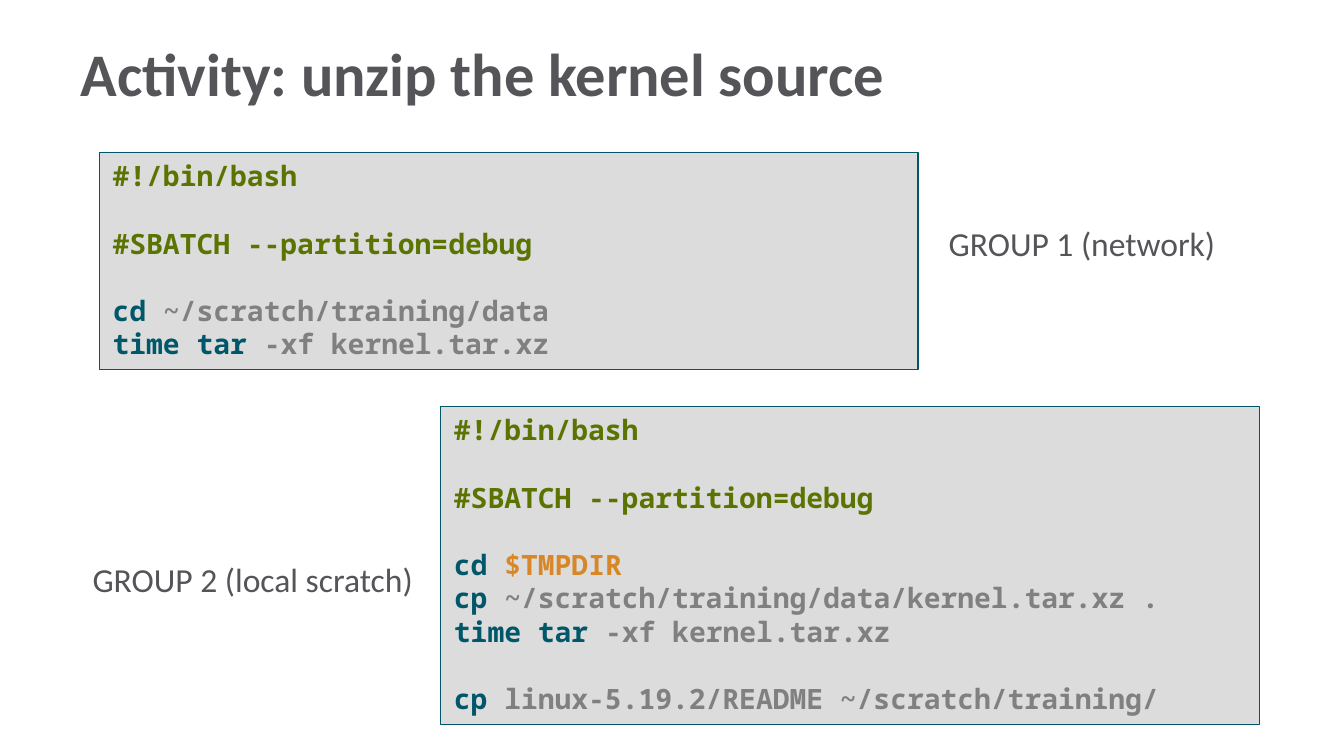
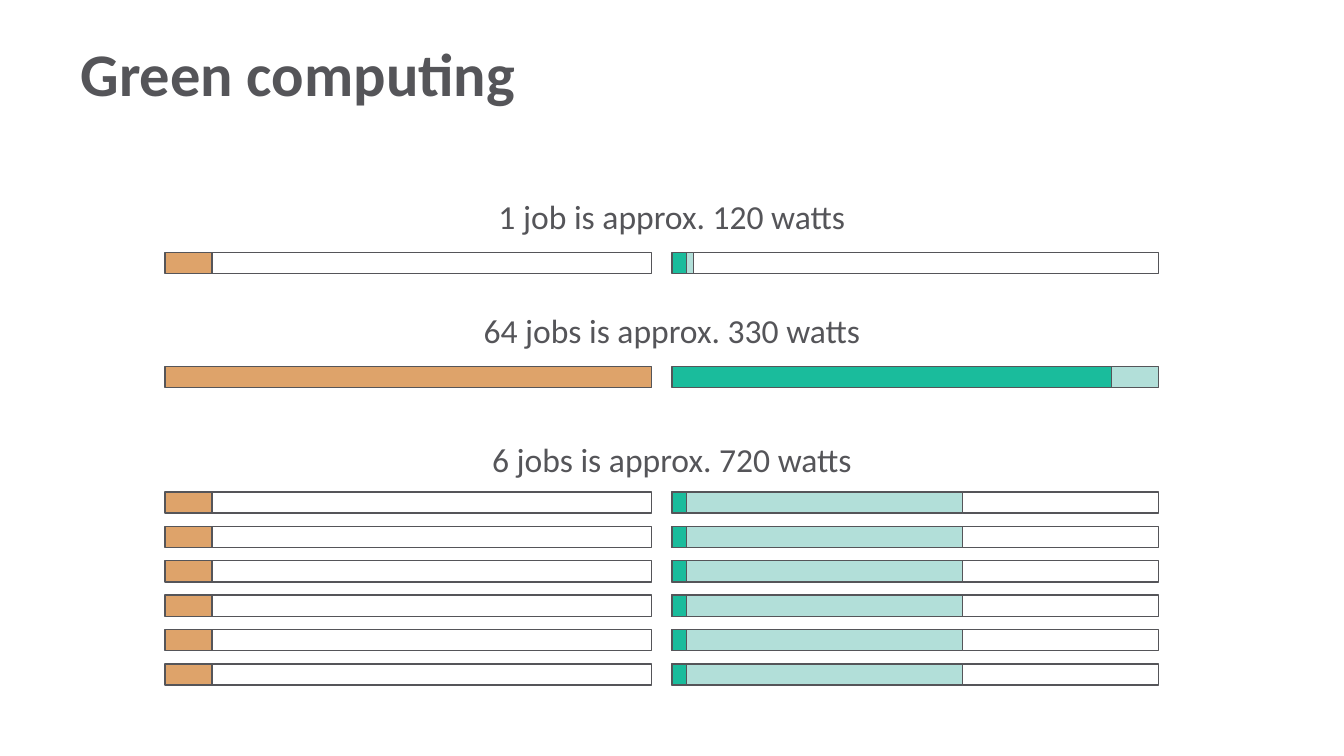
from pptx import Presentation
from pptx.dml.color import RGBColor
from pptx.enum.shapes import MSO_SHAPE
from pptx.enum.text import MSO_ANCHOR, MSO_AUTO_SIZE, PP_ALIGN
from pptx.util import Cm, Pt

HUES = {
    "text": "555559",
    "panel": "DCDCDC",
    "teal": "005769",
    "olive": "5B7300",
    "gray": "808080",
    "amber": "D88726",
    "orange": "DEA36A",
    "green": "1ABC9C",
    "mint": "B2DFD9",
    "white": "FFFFFF",
}
COLOR = {name: RGBColor.from_string(code) for name, code in HUES.items()}


def add_box(slide, left, top, width, height, fill, edge):
    box = slide.shapes.add_shape(
        MSO_SHAPE.RECTANGLE, Cm(left), Cm(top), Cm(width), Cm(height))
    box.shadow.inherit = False
    box.fill.solid()
    box.fill.fore_color.rgb = COLOR[fill]
    box.line.color.rgb = COLOR[edge]
    box.line.width = Pt(0.75)
    return box


def add_label(slide, left, top, width, text, align):
    label = slide.shapes.add_textbox(Cm(left), Cm(top), Cm(width), Cm(1.02))
    label.text_frame.word_wrap = False
    para = label.text_frame.paragraphs[0]
    para.text = text
    para.alignment = align
    para.font.name = "Calibri"
    para.font.size = Pt(18)
    para.font.color.rgb = COLOR["text"]


deck = Presentation()
deck.slide_width, deck.slide_height = Cm(25.4), Cm(14.29)

slides = []
for name in ("Activity: unzip the kernel source", "Green computing"):
    slide = deck.slides.add_slide(deck.slide_layouts[5])
    title = slide.shapes.title
    title.left, title.top = Cm(1.27), Cm(0.61)
    title.width, title.height = Cm(20.47), Cm(1.52)
    frame = title.text_frame
    frame.text = name
    frame.auto_size = MSO_AUTO_SIZE.NONE
    frame.vertical_anchor = MSO_ANCHOR.MIDDLE
    para = frame.paragraphs[0]
    para.alignment = PP_ALIGN.LEFT
    para.font.name = "Calibri"
    para.font.size = Pt(32.4)
    para.font.bold = True
    para.font.color.rgb = COLOR["text"]
    slides.append(slide)
task, power = slides

PITCH = Pt(18)
HEAD = [
    (False, [("#!/bin/bash", "olive")]),
    (True, [("#SBATCH --partition=debug", "olive")]),
]
UNZIP = (False, [("time tar", "teal"), (" -xf kernel.tar.xz", "gray")])
SHARED = HEAD + [
    (True, [("cd ", "teal"), ("~/scratch/training/data", "gray")]),
    UNZIP,
]
LOCAL = HEAD + [
    (True, [("cd ", "teal"), ("$TMPDIR", "amber")]),
    (False, [("cp ", "teal"),
             ("~/scratch/training/data/kernel.tar.xz .", "gray")]),
    UNZIP,
    (True, [("cp", "teal"),
            (" linux-5.19.2/README ~/scratch/training/", "gray")]),
]

for left, top, height, code in ((1.88, 2.88, 4.11, SHARED),
                                (8.33, 7.68, 6.02, LOCAL)):
    panel = add_box(task, left, top, 15.47, height, "panel", "teal")
    frame = panel.text_frame
    frame.word_wrap = True
    frame.vertical_anchor = MSO_ANCHOR.TOP
    for count, (gap, parts) in enumerate(code):
        para = frame.add_paragraph() if count else frame.paragraphs[0]
        para.alignment = PP_ALIGN.LEFT
        para.line_spacing = PITCH
        if gap:
            para.space_before = PITCH
        para.font.name = "Noto Sans Mono"
        para.font.size = Pt(15)
        para.font.bold = True
        for text, hue in parts:
            run = para.add_run()
            run.text = text
            run.font.color.rgb = COLOR[hue]

add_label(task, 17.68, 4.09, 5.61, "GROUP 1 (network)", PP_ALIGN.LEFT)
add_label(task, 1.5, 10.44, 6.63, "GROUP 2 (local scratch)", PP_ALIGN.LEFT)

FULL, PART, CORE = 9.2, 0.89, 0.28
LEFT, RIGHT = 3.12, 12.7
STEP = 0.65
IDLE = [(LEFT, 0, PART, "orange"), (LEFT, PART, FULL, "white")]
GROUPS = [
    ("1 job is approx. 120 watts", 7.16, 3.58, 4.77, 1, IDLE + [
        (RIGHT, 0, CORE, "green"),
        (RIGHT, CORE, FULL, "white"),
        (RIGHT, CORE, 0.41, "mint"),
    ]),
    ("64 jobs is approx. 330 watts", 7.72, 5.74, 6.93, 1, [
        (LEFT, 0, FULL, "orange"),
        (RIGHT, 0, FULL - PART, "green"),
        (RIGHT, FULL - PART, FULL, "mint"),
    ]),
    ("6 jobs is approx. 720 watts", 7.39, 8.18, 9.3, 6, IDLE + [
        (RIGHT, 0, 5.49, "mint"),
        (RIGHT, 5.49, FULL, "white"),
        (RIGHT, 0, CORE, "green"),
    ]),
]

for text, width, head, top, count, bars in GROUPS:
    add_label(power, 12.7 - width / 2, head, width, text, PP_ALIGN.CENTER)
    for row in range(count):
        for left, start, end, fill in bars:
            add_box(power, left + start, top + row * STEP,
                    end - start, 0.4, fill, "text")

deck.save("out.pptx")
